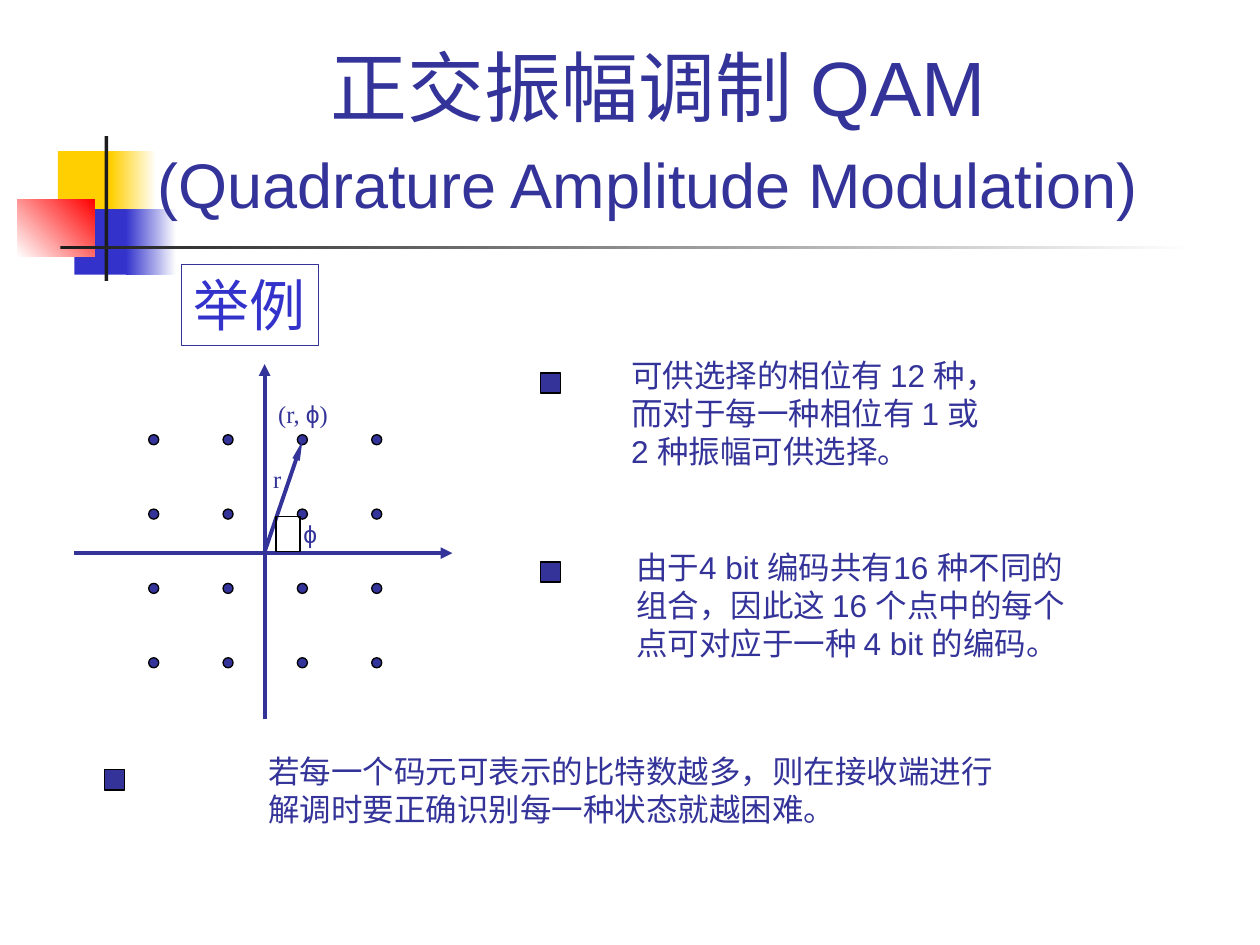
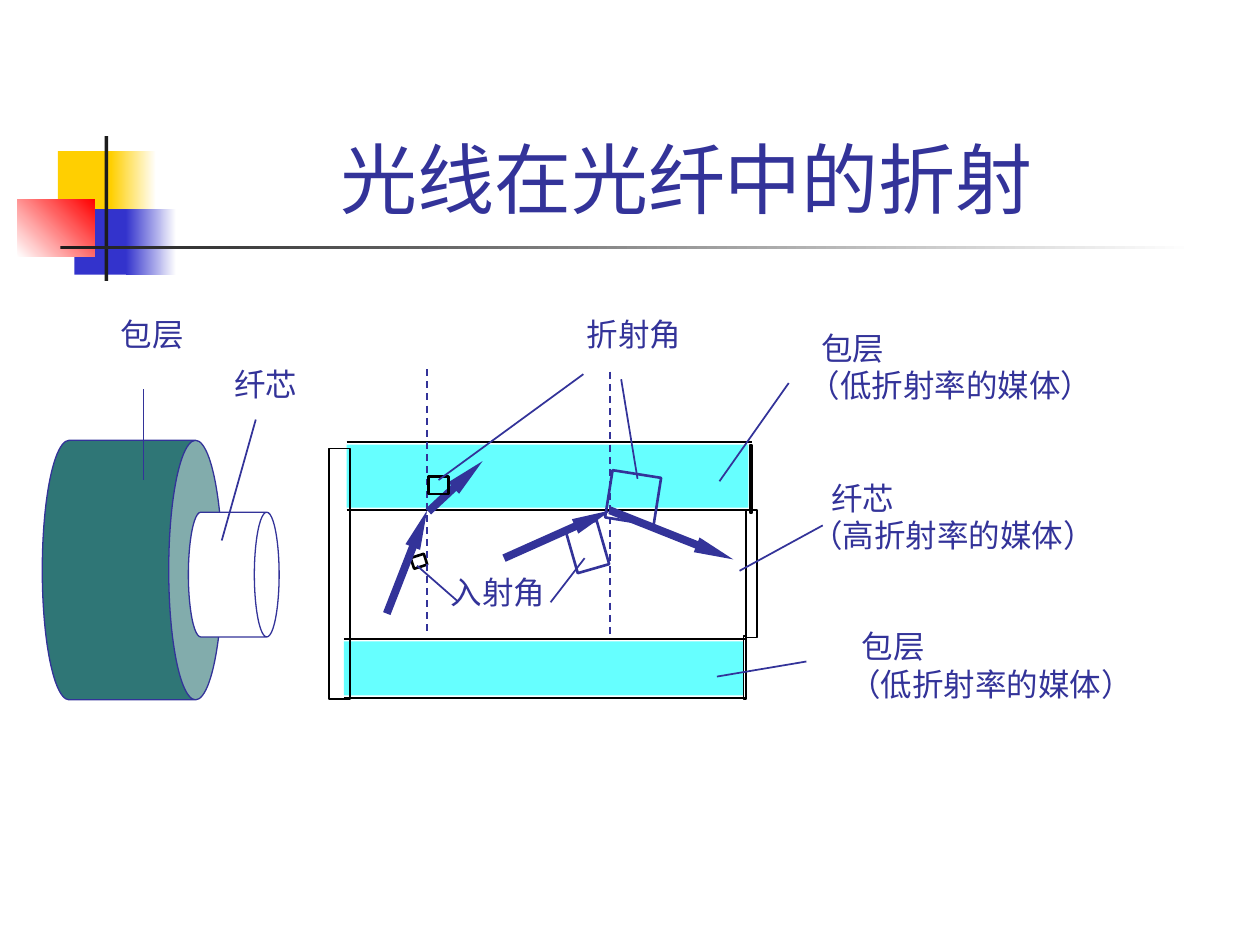
"""Build two lecture slides: the QAM constellation and refraction in an optical fibre."""
from lxml import etree
from pptx import Presentation
from pptx import util as u
from pptx.dml.color import RGBColor
from pptx.enum import dml, shapes, text
from pptx.oxml import ns

PX = 9144
C = {"ink": "333399", "blue": "3333CC", "yellow": "FFCF01", "red": "FF0000",
     "white": "FFFFFF", "dark": "1C1C1C", "black": "000000", "cyan": "66FFFF",
     "teal": "2F7676"}
LATIN, SERIF, CJK = "Arial", "Times New Roman", "Noto Sans CJK SC"
RECT, OVAL, CAN = (shapes.MSO_SHAPE.RECTANGLE, shapes.MSO_SHAPE.OVAL,
                   shapes.MSO_SHAPE.CAN)


def add_box(s, kind, at, fill=None, line=None, width=0.75, rot=0):
    sp = s.shapes.add_shape(kind, *[v * PX for v in at])
    sp.shadow.inherit = False
    sp.rotation = rot
    if isinstance(fill, tuple):
        sp.fill.gradient()
        sp.fill.gradient_angle = fill[2]
        for stop, name, pos in zip(sp.fill.gradient_stops, fill, (0, 1)):
            stop.color.rgb = RGBColor.from_string(C[name])
            stop.position = pos
    elif fill:
        sp.fill.solid()
        sp.fill.fore_color.rgb = RGBColor.from_string(C[fill])
    else:
        sp.fill.background()
    if line:
        sp.line.color.rgb = RGBColor.from_string(C[line])
        sp.line.width = u.Pt(width)
    else:
        sp.line.fill.background()
    return sp


def add_line(s, ends, color="ink", width=1, dash=False, arrow=None):
    cx = s.shapes.add_connector(shapes.MSO_CONNECTOR.STRAIGHT, *[v * PX for v in ends])
    cx.line.color.rgb = RGBColor.from_string(C[color])
    cx.line.width = u.Pt(width)
    if dash:
        cx.line.dash_style = dml.MSO_LINE.DASH
    if arrow:
        ln = cx.line._get_or_add_ln()
        etree.SubElement(ln, ns.qn("a:tailEnd"), type="triangle", w=arrow[0], len=arrow[1])
    etree.SubElement(cx._element.spPr, ns.qn("a:effectLst"))


prs = Presentation()
prs.slide_width, prs.slide_height = 1000 * PX, 750 * PX
qam, fibre = [prs.slides.add_slide(prs.slide_layouts[6]) for _ in range(2)]

decor = [
    ((46, 120, 48, 52), "yellow"),
    ((88, 120, 36, 52), ("yellow", "white", 0)),
    ((59, 166, 46, 52), "blue"),
    ((100, 166, 40, 52), ("blue", "white", 0)),
    ((14, 158, 61, 46), ("white", "red", 45)),
    ((83, 108, 3, 115), "dark"),
    ((48, 195, 900, 3), ("dark", "white", 0)),
]
for s in prs.slides:
    for at, fill in decor:
        add_box(s, RECT, at, fill)

add_line(qam, (210, 571, 210, 289), width=2.25, arrow=("med", "med"))
for row in range(4):
    for col in range(4):
        add_box(qam, OVAL, (118 + 59 * col, 345 + 59 * row, 8, 8), "ink", "black")
add_line(qam, (59, 439, 359, 439), width=2.25, arrow=("med", "med"))
add_line(qam, (210, 438, 240, 350), width=2.25, arrow=("sm", "lg"))
add_box(qam, RECT, (219, 410, 19, 28), line="black")
for x, y in [(83, 611), (429, 446), (429, 296)]:
    add_box(qam, RECT, (x, y, 16, 16), "ink", "black")

add_box(fibre, RECT, (327, 441, 11, 9), line="black", width=1.5, rot=162)
for x, right, top, bottom in [(275, 597, 351, 405), (273, 593, 507, 554)]:
    for y in (top, bottom):
        add_line(fibre, (x, y, right, y), "black")
    add_box(fibre, RECT, (x, top + 2, right - x - 3, bottom - top - 4), "cyan")
for x, y in [(339, 293), (484, 295)]:
    add_line(fibre, (x, y, x, y + 212), dash=True)
for ray in [(340, 406, 383, 366), (307, 487, 339, 405),
            (400, 443, 485, 405), (484, 405, 582, 444)]:
    add_line(fibre, ray, width=4.5, arrow=("sm", "lg"))
for at, color, rot in [((340, 378, 16, 14), "black", 0),
                       ((453, 416, 26, 36), "ink", 164),
                       ((483, 376, 39, 38), "ink", 9)]:
    add_box(fibre, RECT, at, line=color, width=1.5, rot=rot)
for at in [(261, 356, 17, 199), (595, 353, 2, 54), (592, 405, 9, 101), (590, 505, 2, 50)]:
    add_box(fibre, RECT, at, line="black", width=1)
for at, fill, depth in [((2, 381, 206, 143), "teal", 0.298),
                        ((136, 420, 99, 72), "white", 0.273)]:
    add_box(fibre, CAN, at, fill, "ink", rot=90).adjustments[0] = depth
for leader in [(493, 301, 506, 380), (348, 381, 463, 297), (331, 449, 363, 477),
               (437, 478, 464, 443), (587, 453, 653, 417), (626, 304, 571, 382),
               (640, 525, 569, 537), (114, 309, 114, 381), (203, 333, 176, 429)]:
    add_line(fibre, leader)

titles = [
    (qam, (67, 23, 911, 160), 0, [[("正交振幅调制 QAM", LATIN, 44)],
                                  [("(Quadrature Amplitude Modulation)", LATIN, 36),
                                   (" ", LATIN, 44)]]),
    (fibre, (126, 23, 852, 160), 0, [[("光线在光纤中的折射 ", LATIN, 44)]]),
]
symbols = [
    (qam, (207, 363, 26, 34), 0, [[("r", SERIF, 14)]]),
    (qam, (231, 407, 32, 34), 0, [[("ϕ", LATIN, 14)]]),
    (qam, (211, 312, 61, 34), 0, [[("(r, ", SERIF, 14), ("ϕ", LATIN, 14), (")", SERIF, 14)]]),
]
notes = [
    (qam, (491, 278, 322, 100), 0, LATIN,
     ["可供选择的相位有 12 种，", "而对于每一种相位有 1 或", "2 种振幅可供选择。"]),
    (qam, (495, 430, 383, 100), 0, LATIN,
     ["由于4 bit 编码共有16 种不同的", "组合，因此这 16 个点中的每个", "点可对应于一种 4 bit 的编码。"]),
    (qam, (203, 592, 595, 70), 0, CJK,
     ["若每一个码元可表示的比特数越多，则在接收端进行", "解调时要正确识别每一种状态就越困难。"]),
    (fibre, (456, 245, 95, 40), 0, LATIN, ["折射角"]),
    (fibre, (348, 450, 95, 40), 0, LATIN, ["入射角"]),
    (fibre, (632, 256, 245, 70), 10, LATIN, ["包层", "（低折射率的媒体）"]),
    (fibre, (634, 375, 245, 70), 16, LATIN, ["纤芯", "（高折射率的媒体）"]),
    (fibre, (664, 493, 245, 70), 10, LATIN, ["包层", "（低折射率的媒体）"]),
    (fibre, (86, 245, 70, 40), 0, LATIN, ["包层"]),
    (fibre, (176, 285, 70, 40), 0, LATIN, ["纤芯"]),
]
example = (qam, (144, 210, 109, 64), 0, [[("举例", LATIN, 32)]])
labels = symbols + [example] + [(s, at, indent, [[(t, font, 18)] for t in lines])
                                for s, at, indent, font, lines in notes]

for label in titles + labels:
    s, at, indent, lines = label
    is_title = label in titles
    sp = s.shapes.add_textbox(*[v * PX for v in at])
    tf = sp.text_frame
    tf.word_wrap = is_title
    if is_title:
        tf.vertical_anchor = text.MSO_ANCHOR.BOTTOM
    else:
        tf.auto_size = text.MSO_AUTO_SIZE.SHAPE_TO_FIT_TEXT
    if label is example:
        sp.line.color.rgb = RGBColor.from_string(C["ink"])
        sp.line.width = u.Pt(0.75)
    for i, runs in enumerate(lines):
        p = tf.add_paragraph() if i else tf.paragraphs[0]
        p.alignment = text.PP_ALIGN.CENTER if is_title else text.PP_ALIGN.LEFT
        if indent and i == 0:
            p._p.get_or_add_pPr().set("marL", str(indent * PX))
        for words, font, size in runs:
            r = p.add_run()
            r.text = words
            r.font.name = font
            r.font.size = u.Pt(size)
            r.font.color.rgb = RGBColor.from_string(C["blue" if label is example else "ink"])
            etree.SubElement(r._r.get_or_add_rPr(), ns.qn("a:ea"), typeface=CJK)

prs.save("out.pptx")
